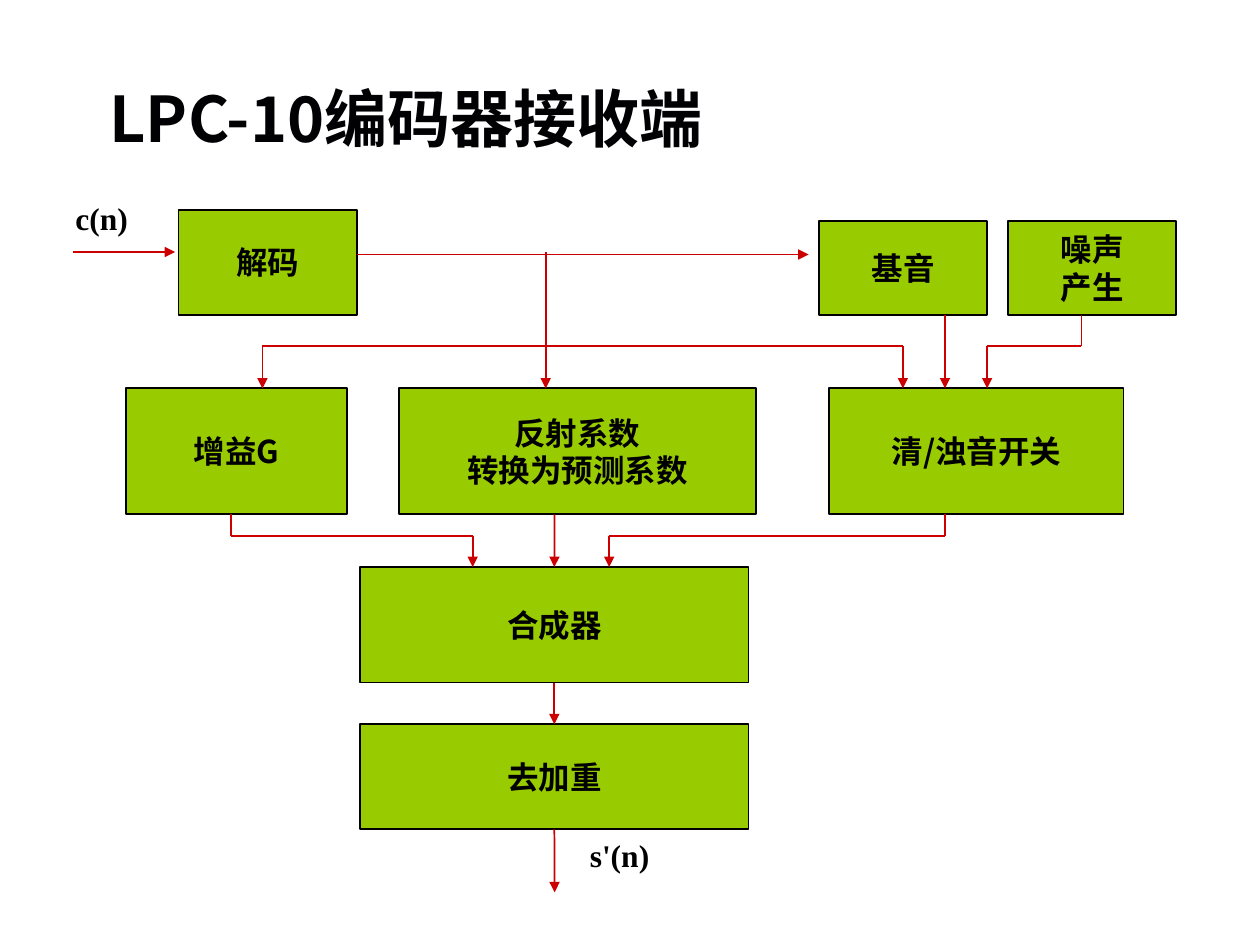
from lxml import etree
from pptx import Presentation
from pptx import util as u
from pptx.dml.color import RGBColor
from pptx.enum import shapes, text
from pptx.oxml import ns

Cm = u.Cm
CJK, LATIN = "Noto Sans CJK SC", "Times New Roman"


def color(value):
    return RGBColor.from_string(value)


def write(frame, words, size, font, ink, align):
    frame.text = words
    for paragraph in frame.paragraphs:
        paragraph.alignment = align
        for run in paragraph.runs:
            run.font.size, run.font.bold, run.font.name = u.Pt(size), True, font
            run.font.color.rgb = color(ink)
            etree.SubElement(run.font._element, ns.qn("a:ea"), typeface=font)


deck = Presentation()
deck.slide_width, deck.slide_height = Cm(25.4), Cm(19.05)
slide = deck.slides.add_slide(deck.slide_layouts[6])

# Title and signal names
for words, left, top, width, height, size, font, ink in [
    ("LPC-10编码器接收端", 1.96, 1.48, 15.2, 1.78, 36, CJK, "010103"),
    ("c(n)", 1.27, 3.89, 2.54, 1.02, 18, LATIN, "000000"),
    ("s'(n)", 11.64, 16.72, 2.96, 1.02, 18, LATIN, "000000"),
]:
    label = slide.shapes.add_textbox(Cm(left), Cm(top), Cm(width), Cm(height))
    label.text_frame.word_wrap = True
    write(label.text_frame, words, size, font, ink, text.PP_ALIGN.LEFT)

# Processing stages
stages = {}
for words, left, top, width, height in [
    ("解码", 3.6, 4.23, 3.6, 2.12),
    ("基音", 16.51, 4.45, 3.39, 1.9),
    ("噪声\n产生", 20.32, 4.45, 3.39, 1.9),
    ("增益G", 2.54, 7.83, 4.45, 2.54),
    ("反射系数\n转换为预测系数", 8.04, 7.83, 7.2, 2.54),
    ("清/浊音开关", 16.72, 7.83, 5.93, 2.54),
    ("合成器", 7.26, 11.43, 7.83, 2.33),
    ("去加重", 7.26, 14.6, 7.83, 2.12),
]:
    stage = slide.shapes.add_shape(shapes.MSO_SHAPE.RECTANGLE,
                                   Cm(left), Cm(top), Cm(width), Cm(height))
    stage.shadow.inherit = False
    stage.fill.solid()
    stage.fill.fore_color.rgb = color("99CC00")
    stage.line.color.rgb = color("000000")
    stage.line.width = u.Pt(1)
    stage.text_frame.word_wrap = False
    stage.text_frame.vertical_anchor = text.MSO_ANCHOR.MIDDLE
    write(stage.text_frame, words, 18, CJK, "000000", text.PP_ALIGN.CENTER)
    stages[words] = stage

# Signal routes: corner points, an arrowhead or not, stages joined at each end
spine = 11.18
bus, collector = 6.98, 10.8
row_top, row_bottom, synth_top = 7.83, 10.37, 11.43
routes = [
    ([(1.47, 5.08), (3.53, 5.08)], True, None, None),
    ([(7.2, 5.13), (16.3, 5.13)], True, None, None),
    ([(11, 5.08), (11, 7.2)], False, None, None),
    ([(5.29, bus), (18.2, bus)], False, None, None),
    *[([(x, bus), (x, row_top)], True, None, None) for x in (5.29, 11, 18.2)],
    ([(19.05, 6.35), (19.05, row_top)], True, None, None),
    ([(21.8, 6.35), (21.8, bus), (19.9, bus), (19.9, row_top)], True, None, None),
    *[([(start, row_bottom), (start, collector), (end, collector), (end, synth_top)],
       True, None, None) for start, end in ((4.66, 9.53), (19.05, 12.28))],
    ([(spine, row_bottom), (spine, synth_top)], True, None, "合成器"),
    ([(spine, 13.76), (spine, 14.6)], True, "合成器", "去加重"),
    ([(spine, 16.72), (spine, 17.99)], True, "去加重", None),
]
for points, arrow, source, target in routes:
    for start, end in zip(points, points[1:]):
        wire = slide.shapes.add_connector(shapes.MSO_CONNECTOR.STRAIGHT,
                                          *[Cm(v) for v in start + end])
        wire.line.color.rgb = color("CC0000")
        wire.line.width = u.Pt(1)
        if arrow and end == points[-1]:
            etree.SubElement(wire.line._get_or_add_ln(), ns.qn("a:tailEnd"),
                             type="triangle")
        etree.SubElement(wire._element.spPr, ns.qn("a:effectLst"))
        if source:
            wire.begin_connect(stages[source], 2)
        if target:
            wire.end_connect(stages[target], 0)

deck.save("out.pptx")
